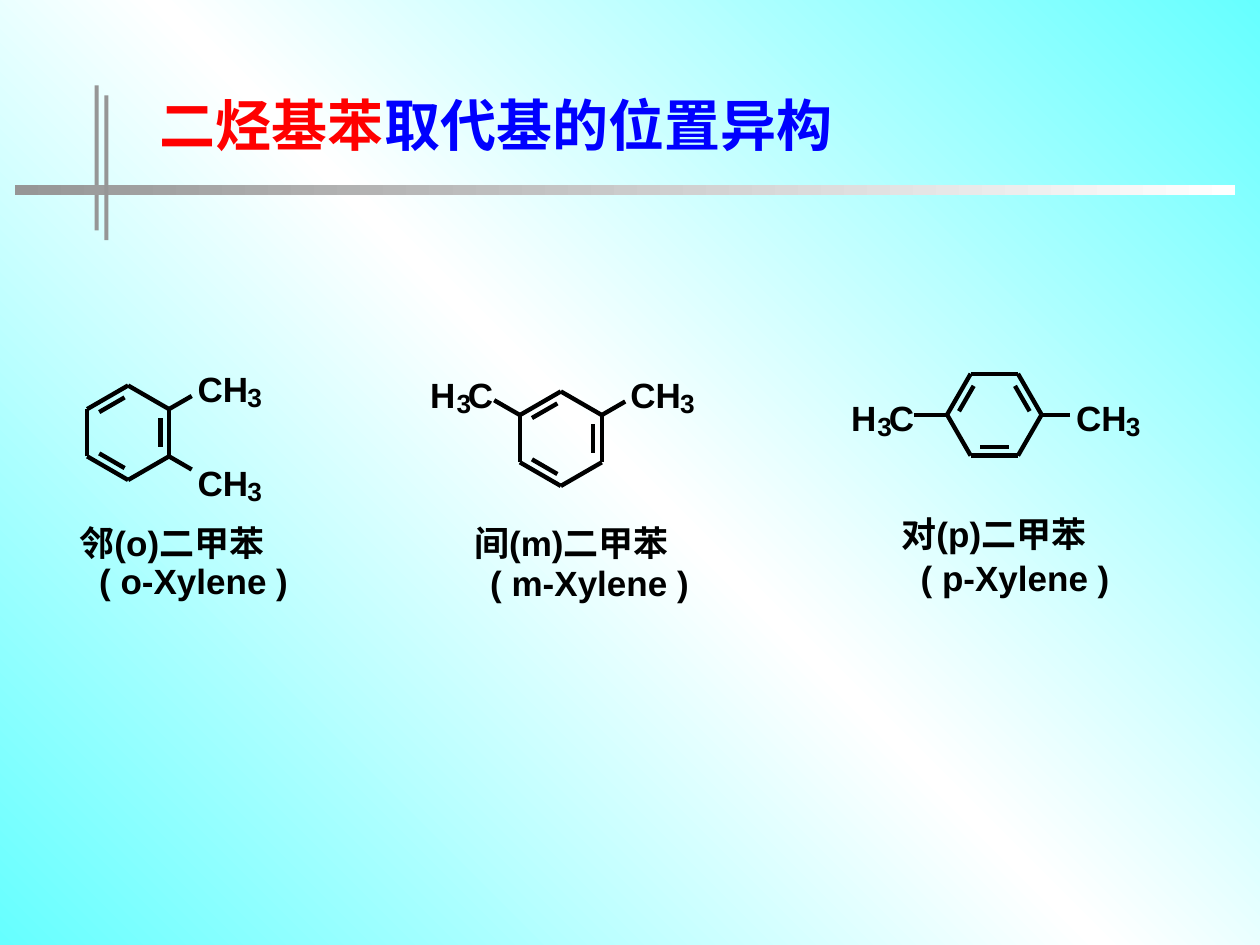
from copy import deepcopy
from math import cos, radians, sin

from pptx import Presentation
from pptx.dml.color import RGBColor
from pptx.enum.shapes import MSO_CONNECTOR, MSO_SHAPE
from pptx.enum.text import MSO_ANCHOR, MSO_AUTO_SIZE, PP_ALIGN
from pptx.oxml.ns import qn
from pptx.util import Pt

STRAIGHT = MSO_CONNECTOR.STRAIGHT
RECTANGLE = MSO_SHAPE.RECTANGLE
TOP = MSO_ANCHOR.TOP
LEFT = PP_ALIGN.LEFT
NO_FIT = MSO_AUTO_SIZE.NONE
GROW = MSO_AUTO_SIZE.SHAPE_TO_FIT_TEXT

CJK, LATIN = "Noto Sans CJK SC", "Arial"
BLACK, GREY, WHITE, CYAN = "000000", "969696", "FFFFFF", "66FFFF"
RED, BLUE = "FF0000", "0000FF"

RADIUS = 27
INNER_SCALE = 0.79
INNER_HALF = 0.31
DOUBLE_EDGES = (1, 3, 5)
ATOM_SIZE, INDEX_SIZE = 20, 15

# Each part: text, offset from the left, width
CH3 = (("CH", 0, 29.2), ("3", 28.4, 8.6))
H3C = (("H", 0, 14.6), ("3", 15.1, 8.6), ("C", 21.6, 14.6))

# Ring centre, angle of first vertex, bonds (vertex, length),
# methyl groups (parts, left, top), Chinese and English captions (left, top, width)
MOLECULES = (
    dict(centre=(73.2, 247.3), start=-90, bonds=((1, 15), (2, 15)),
         methyls=((CH3, 113, 210.2), (CH3, 113, 263.5)),
         prefix="邻", letter="o",
         chinese=(45.4, 297.8, 116), english=(56.7, 319.7, 108.5)),
    dict(centre=(320.5, 250.7), start=-90, bonds=((5, 17), (1, 15.5)),
         methyls=((H3C, 245.8, 213.5), (CH3, 360.2, 213.5)),
         prefix="间", letter="m",
         chinese=(270.9, 297.8, 121.5), english=(280.1, 321.1, 114.2)),
    dict(centre=(568.2, 237), start=-120, bonds=((5, 18.7), (2, 16.5)),
         methyls=((H3C, 486.3, 226.8), (CH3, 614.9, 226.8)),
         prefix="对", letter="p",
         chinese=(515.1, 293, 116), english=(526.1, 317.9, 108.5)),
)


def colour(value):
    return RGBColor.from_string(value)


def add_span(para, text, size, font, hue=BLACK):
    span = para.add_run()
    span.text = text
    span.font.size = Pt(size)
    span.font.bold = True
    span.font.name = font
    span.font.color.rgb = colour(hue)
    latin = span.font._element.find(qn("a:latin"))
    east_asian = deepcopy(latin)
    east_asian.tag = qn("a:ea")
    latin.addnext(east_asian)


def add_text(shapes, left, top, width, height, spans):
    """Add one line of text; spans are (text, size, font)."""
    box = shapes.add_textbox(Pt(left), Pt(top), Pt(width), Pt(height))
    frame = box.text_frame
    frame.word_wrap = False
    frame.auto_size = GROW
    frame.margin_left = frame.margin_right = 0
    frame.margin_top = frame.margin_bottom = 0
    for span in spans:
        add_span(frame.paragraphs[0], *span)


def add_bond(shapes, start, end):
    bond = shapes.add_connector(STRAIGHT, *(Pt(value) for value in (*start, *end)))
    bond.line.color.rgb = colour(BLACK)
    bond.line.width = Pt(2.5)
    properties = bond._element.spPr
    properties.append(properties.makeelement(qn("a:effectLst"), {}))


def add_formula(shapes, parts, left, top):
    for text, offset, width in parts:
        if text.isdigit():
            add_text(shapes, left + offset, top + 7.9, width, 18,
                     [(text, INDEX_SIZE, LATIN)])
        else:
            add_text(shapes, left + offset, top, width, 23.8,
                     [(text, ATOM_SIZE, LATIN)])


def add_ring(shapes, centre, start, bonds):
    """Draw a benzene ring and the bonds that point outward from its vertices."""
    def vertex(index, distance=RADIUS):
        angle = radians(start + 60 * index)
        return (centre[0] + distance * cos(angle), centre[1] + distance * sin(angle))

    def inner_point(first, second, along):
        return [c + INNER_SCALE * ((a + b) / 2 - c) + along * (b - a)
                for c, a, b in zip(centre, first, second)]

    for index in range(6):
        first, second = vertex(index), vertex(index + 1)
        add_bond(shapes, first, second)
        if index in DOUBLE_EDGES:
            add_bond(shapes, inner_point(first, second, -INNER_HALF),
                     inner_point(first, second, INNER_HALF))
    for index, length in bonds:
        add_bond(shapes, vertex(index), vertex(index, RADIUS + length))


def add_molecule(page, molecule):
    shapes = page.shapes.add_group_shape().shapes
    add_ring(shapes, molecule["centre"], molecule["start"], molecule["bonds"])
    for methyl in molecule["methyls"]:
        add_formula(shapes, *methyl)
    letter = molecule["letter"]
    add_text(shapes, *molecule["chinese"], 23.8,
             [(molecule["prefix"], 20, CJK), (f"({letter})", 20, LATIN),
              ("二甲苯", 20, CJK)])
    add_text(shapes, *molecule["english"], 23.8,
             [(f"( {letter}-Xylene )", 20, LATIN)])


def set_background(page):
    fill = page.background.fill
    fill.gradient()
    fill.gradient_angle = 45
    stop_list = page._element.find(".//" + qn("a:gsLst"))
    stop_list.append(deepcopy(stop_list[0]))
    for stop, hue, position in zip(fill.gradient_stops, (CYAN, WHITE, CYAN), (0, 0.5, 1)):
        stop.color.rgb = colour(hue)
        stop.position = position


def add_bar(page, left, top, width, height, fade=False):
    bar = page.shapes.add_shape(RECTANGLE, Pt(left), Pt(top), Pt(width), Pt(height))
    bar.shadow.inherit = False
    bar.line.fill.background()
    if fade:
        bar.fill.gradient()
        bar.fill.gradient_angle = 0
        for stop, hue, position in zip(bar.fill.gradient_stops, (GREY, WHITE), (0, 1)):
            stop.color.rgb = colour(hue)
            stop.position = position
    else:
        bar.fill.solid()
        bar.fill.fore_color.rgb = colour(GREY)


def set_title(page):
    title = page.shapes.title
    title.left, title.top = Pt(84.2), Pt(48.2)
    title.width, title.height = Pt(578.2), Pt(46.1)
    frame = title.text_frame
    frame.auto_size = NO_FIT
    frame.word_wrap = True
    frame.vertical_anchor = TOP
    para = frame.paragraphs[0]
    para.alignment = LEFT
    add_span(para, "二烃基苯", 32, CJK, RED)
    add_span(para, "取代基的位置", 32, CJK, BLUE)
    add_span(para, "异构", 32, "Karla", BLUE)


def main():
    deck = Presentation()
    deck.slide_width, deck.slide_height = Pt(720), Pt(540)
    page = deck.slides.add_slide(deck.slide_layouts[5])
    set_background(page)
    add_bar(page, 54, 48.8, 2.4, 82.8)
    add_bar(page, 8.6, 105.7, 697.4, 5.7, fade=True)
    add_bar(page, 59.6, 54.5, 2.4, 82.8)
    set_title(page)
    for molecule in MOLECULES:
        add_molecule(page, molecule)
    deck.save("out.pptx")


if __name__ == "__main__":
    main()
